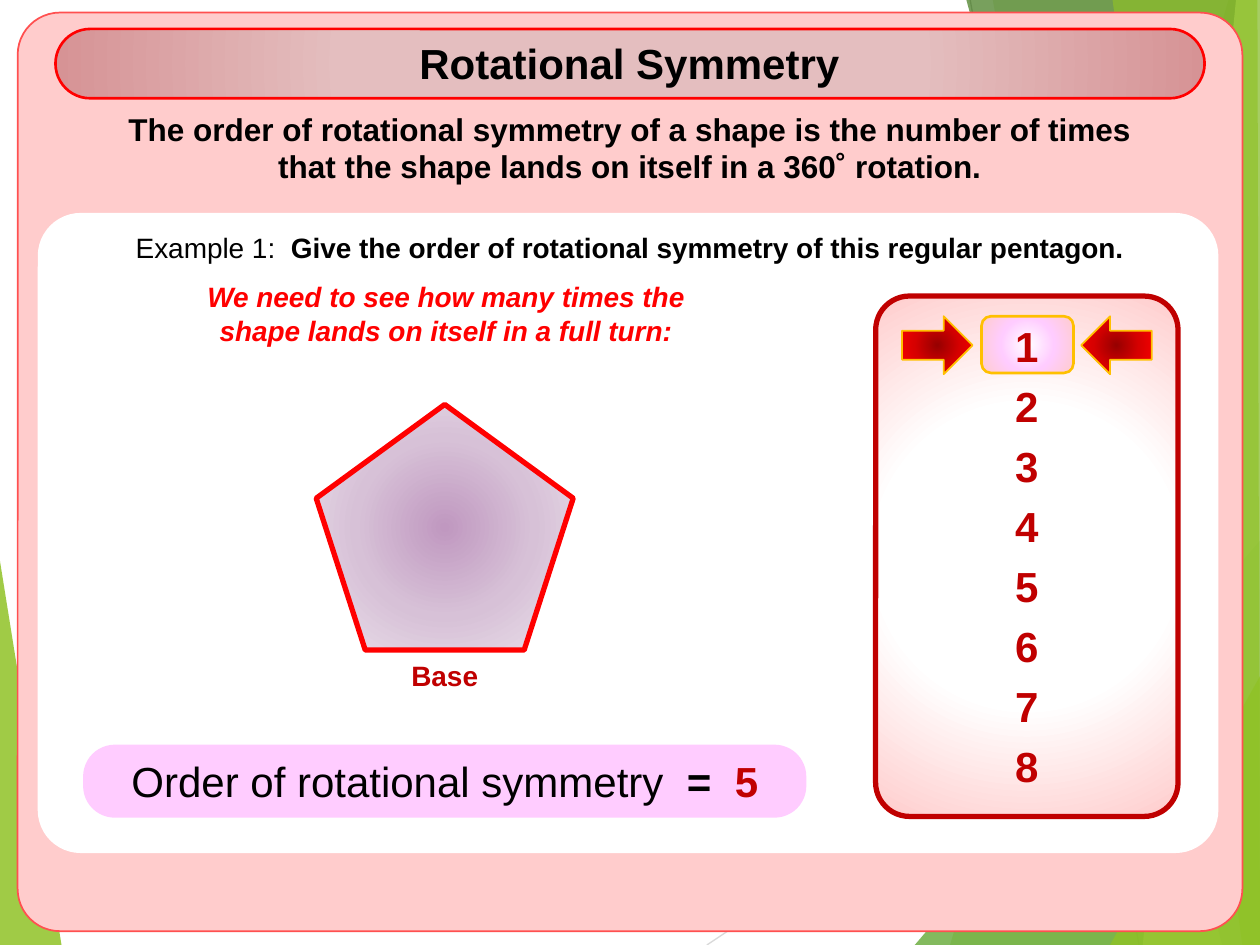
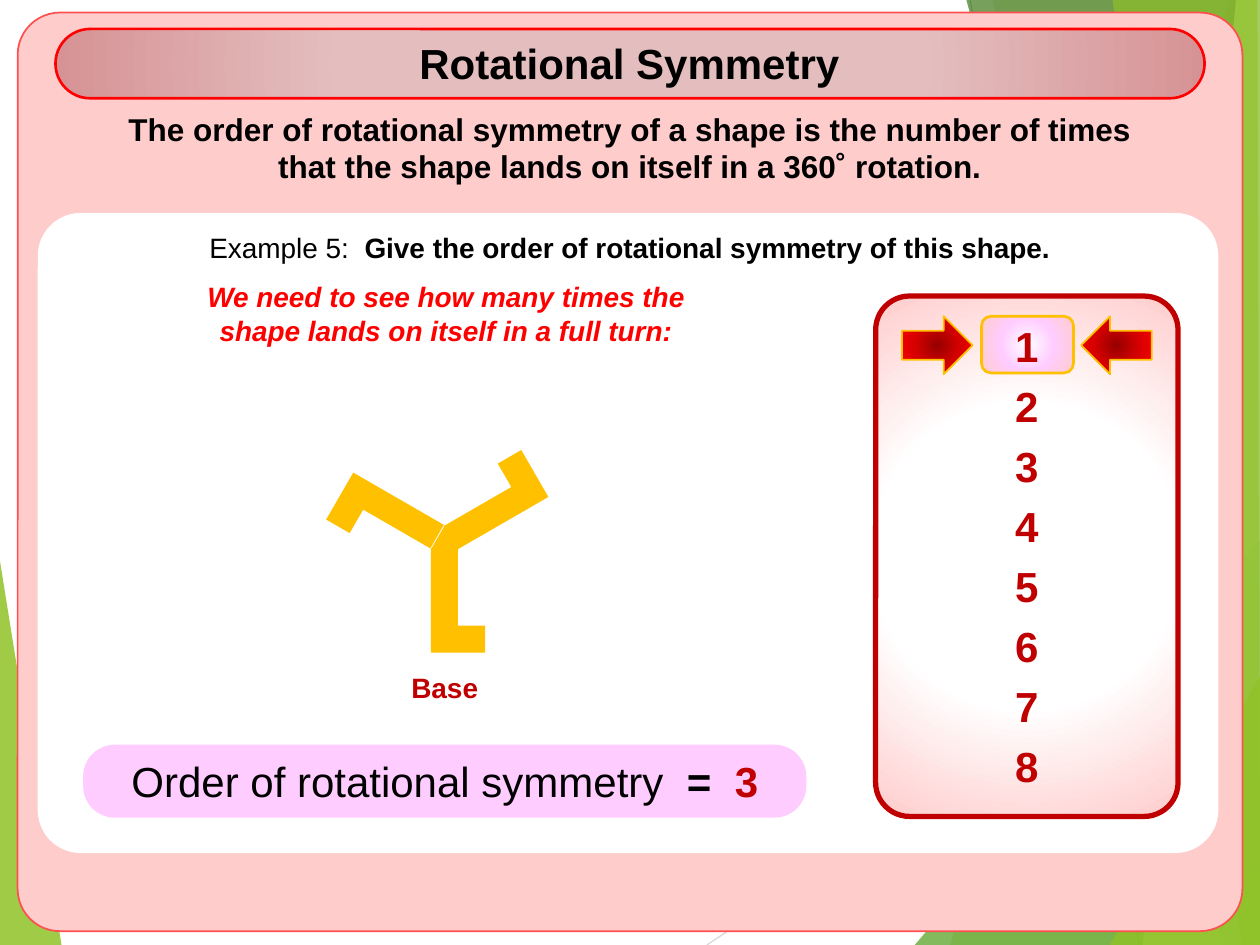
from lxml import etree
from pptx import Presentation
from pptx import util as u
from pptx.dml.color import RGBColor
from pptx.enum import shapes, text
from pptx.oxml.ns import qn

KIND = shapes.MSO_SHAPE
BLACK, WHITE, RED, DARK, GOLD = "000000", "FFFFFF", "FF0000", "C00000", "FFC000"
PINK, LILAC = "FFCCCC", "FFCCFF"

# Gradient stops: percent from the centre outwards, colour
BAND = [(50, "E4BEBF"), (100, "D69395"), (100, "F1E0E0")]
PANEL = [(0, WHITE), (50, WHITE), (100, PINK)]
ARROW = [(0, "970000"), (50, "D70000"), (100, RED)]
FRAME = [(0, WHITE), (50, LILAC), (100, PINK)]
PURPLE = [(0, "C098C0"), (50, "D7C1D7"), (100, "EBE1EB")]

RAYS = [((5.61, 7.5), (10.01, 4.57), "D9D9D9"),
        ((7.7, 0), (9.04, 7.5), "BFBFBF")]
LEFT = ("90C226", 85, [(-0.01, 4.39), (0.49, 7.51), (-0.01, 7.5)])
SHARDS = [
    ("90C226", 30, [(9.75, 0), (7.54, 7.5), (10.02, 7.5), (10.01, 0)]),
    ("90C226", 20, [(7.88, 0), (9.19, 7.5), (10.01, 7.5), (10.01, 0)]),
    ("54A021", 72, [(7.26, 7.5), (10, 4.29), (10.01, 7.5)]),
    ("3F7819", 70, [(7.67, 0), (9.7, 7.5), (10.01, 7.5), (10.01, 0)]),
    ("C0E474", 70, [(9.81, 0), (9.07, 7.5), (10.01, 7.5), (10, 0)]),
    ("90C226", 65, [(8.83, 0), (9.86, 7.5), (10, 7.5), (9.98, 0)]),
    ("90C226", 80, [(8.81, 7.5), (10.01, 5.35), (10.01, 7.5)]),
]

RULE = ["The order of rotational symmetry of a shape is the number of times",
        "that the shape lands on itself in a 360˚ rotation."]
HINT = "We need to see how many times the shape lands on itself in a full turn:"


def paint(color, value):
    color.rgb = RGBColor.from_string(value)


def inches(*values):
    return [u.Inches(v) for v in values]


def blend(shape, stops):
    """Fill a shape with a gradient that spreads from its centre."""
    shape.fill.solid()
    old = shape.fill._xPr.find(qn("a:solidFill"))
    grad = etree.Element(qn("a:gradFill"), rotWithShape="1")
    items = etree.SubElement(grad, qn("a:gsLst"))
    for pos, value in stops:
        stop = etree.SubElement(items, qn("a:gs"), pos=str(pos * 1000))
        etree.SubElement(stop, qn("a:srgbClr"), val=value)
    way = etree.SubElement(grad, qn("a:path"), path="circle")
    etree.SubElement(way, qn("a:fillToRect"),
                     {side: "50000" for side in "ltrb"})
    old.getparent().replace(old, grad)


def finish(shape, fill, line=None):
    """Set fill (a colour or gradient stops) and line (colour, points)."""
    shape.shadow.inherit = False
    if isinstance(fill, str):
        shape.fill.solid()
        paint(shape.fill.fore_color, fill)
    else:
        blend(shape, fill)
    if line:
        paint(shape.line.color, line[0])
        shape.line.width = u.Pt(line[1])
    else:
        shape.line.fill.background()
    return shape


def block(slide, kind, box, fill, line=None, turn=0):
    shape = slide.shapes.add_shape(kind, *inches(*box))
    shape.rotation = turn
    return finish(shape, fill, line)


def rounded(slide, box, curve, fill, line=None):
    shape = block(slide, KIND.ROUNDED_RECTANGLE, box, fill, line)
    shape.adjustments[0] = curve


def label(slide, box, paras, size, color=BLACK, bold=True, italic=False,
          anchor="TOP"):
    """Write centred paragraphs; each is a list of (words, changes) runs."""
    frame = slide.shapes.add_textbox(*inches(*box)).text_frame
    frame.word_wrap = True
    frame.vertical_anchor = text.MSO_ANCHOR[anchor]
    for i, runs in enumerate(paras):
        para = frame.add_paragraph() if i else frame.paragraphs[0]
        para.alignment = text.PP_ALIGN.CENTER
        for words, changes in runs:
            run = para.add_run()
            run.text = words
            form = {"name": "Arial", "size": u.Pt(size), "bold": bold,
                    "italic": italic, **changes}
            paint(run.font.color, form.pop("color", color))
            for key, value in form.items():
                setattr(run.font, key, value)


def plain(words):
    return [[(words, {})]]


def shard(slide, color, alpha, points):
    (x, y), *rest = [inches(*p) for p in points]
    pen = slide.shapes.build_freeform(x, y)
    pen.add_line_segments(rest)
    shape = finish(pen.convert_to_shape(), color)
    tint = shape.fill._xPr.find(qn("a:solidFill"))[0]
    etree.SubElement(tint, qn("a:alpha"), val=str(alpha * 1000))


def ray(slide, start, end, color):
    line = slide.shapes.add_connector(
        shapes.MSO_CONNECTOR.STRAIGHT, *inches(*start, *end))
    paint(line.line.color, color)
    line.line.width = u.Pt(0.75)
    etree.SubElement(line._element.spPr, qn("a:effectLst"))


def backdrop(slide):
    shard(slide, *LEFT)
    for item in RAYS:
        ray(slide, *item)
    for item in SHARDS:
        shard(slide, *item)
    rounded(slide, (0.14, 0.1, 9.72, 7.29), 0.046, PINK, ("FF5050", 1))
    rounded(slide, (0.3, 1.69, 9.37, 5.08), 0.067, WHITE)


def heading(slide):
    rounded(slide, (0.44, 0.23, 9.12, 0.55), 0.5, BAND, (RED, 1.5))
    label(slide, (0.67, 0.25, 8.65, 0.5), plain("Rotational Symmetry"), 24)
    label(slide, (0.23, 0.82, 9.54, 0.71), [[(s, {})] for s in RULE], 18)


def counter(slide):
    """Draw the panel of numbers with the first one marked."""
    rounded(slide, (6.95, 2.35, 2.4, 4.13), 0.112, PANEL, (DARK, 3))
    for left, turn in ((7.16, 0), (8.58, 180)):
        block(slide, KIND.RIGHT_ARROW, (left, 2.51, 0.56, 0.46), ARROW,
              (GOLD, 1), turn)
    rounded(slide, (7.79, 2.51, 0.73, 0.45), 0.167, FRAME, (GOLD, 1.5))
    first, last, count = 2.49, 5.83, 8
    step = (last - first) / (count - 1)
    for i in range(count):
        label(slide, (7.52, first + i * step, 1.26, 0.5), plain(str(i + 1)),
              24, DARK, anchor="MIDDLE")


def answer(slide, order):
    rounded(slide, (0.66, 5.91, 5.74, 0.58), 0.436, LILAC)
    runs = [("Order of rotational symmetry  ", {"bold": False}),
            ("=  ", {}), (str(order), {"color": DARK})]
    label(slide, (0.84, 5.95, 5.38, 0.5), [runs], 24, anchor="MIDDLE")


def base(slide, top):
    label(slide, (2.93, top, 1.2, 0.37), plain("Base"), 16, DARK)


def pentagon(slide):
    base(slide, 5.18)
    block(slide, KIND.REGULAR_PENTAGON, (2.51, 3.21, 2.04, 1.95), PURPLE,
          (RED, 3))


def hooks(slide):
    """Draw three hooked arms that meet in a small triangle."""
    base(slide, 5.27)
    for left, top, turn in ((3.42, 4.35, 0), (2.84, 3.73, 120),
                            (3.67, 3.55, 240)):
        block(slide, KIND.CORNER, (left, top, 0.43, 0.83), GOLD, turn=turn)
    block(slide, KIND.ISOSCELES_TRIANGLE, (3.42, 4.17, 0.22, 0.19), GOLD)


def example(deck, number, thing, order, draw):
    slide = deck.slides.add_slide(deck.slide_layouts[6])
    backdrop(slide)
    heading(slide)
    task = [(f"Example {number}:  ", {"bold": False}),
            (f"Give the order of rotational symmetry of this {thing}.", {})]
    label(slide, (0.62, 1.78, 8.76, 0.37), [task], 16)
    label(slide, (1.23, 2.17, 4.62, 0.64), plain(HINT), 16, RED, italic=True)
    counter(slide)
    answer(slide, order)
    draw(slide)


def main():
    deck = Presentation()
    deck.slide_width, deck.slide_height = inches(10, 7.5)
    example(deck, 1, "regular pentagon", 5, pentagon)
    example(deck, 5, "shape", 3, hooks)
    deck.save("out.pptx")


if __name__ == "__main__":
    main()
